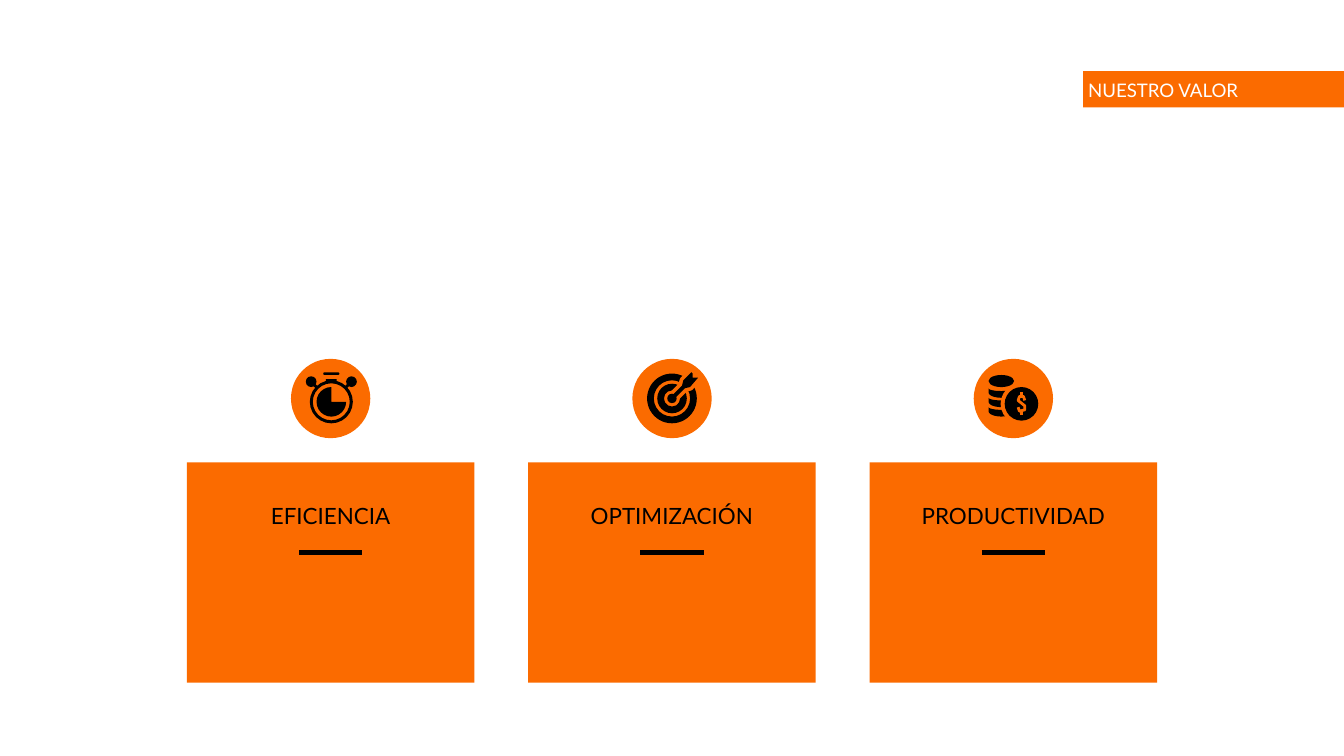
from math import cos, pi, sin

from lxml import etree
from pptx import Presentation
from pptx.dml.color import RGBColor
from pptx.enum.shapes import MSO_CONNECTOR, MSO_SHAPE
from pptx.enum.text import MSO_ANCHOR, PP_ALIGN
from pptx.oxml.ns import qn
from pptx.util import Inches, Pt

ORANGE = RGBColor(0xFB, 0x6B, 0x00)
BLACK = RGBColor(0x00, 0x00, 0x00)
WHITE = RGBColor(0xFF, 0xFF, 0xFF)

RECTANGLE = MSO_SHAPE.RECTANGLE
ROUNDED = MSO_SHAPE.ROUNDED_RECTANGLE
OVAL = MSO_SHAPE.OVAL
DONUT = MSO_SHAPE.DONUT
PIE = MSO_SHAPE.PIE
STRAIGHT = MSO_CONNECTOR.STRAIGHT
BOTTOM = MSO_ANCHOR.BOTTOM
CENTER, RIGHT = PP_ALIGN.CENTER, PP_ALIGN.RIGHT

DISC = 0.59
COLUMN_PITCH = 2.54
DEGREE = 0.6  # one degree as a shape adjustment


def paint(shape, fill=None, line=None, line_width=1.5):
    shape.shadow.inherit = False
    if fill is None:
        shape.fill.background()
    else:
        shape.fill.solid()
        shape.fill.fore_color.rgb = fill
    if line is None:
        shape.line.fill.background()
    else:
        shape.line.color.rgb = line
        shape.line.width = Pt(line_width)


def add_block(slide, kind, box, fill, adjustments=()):
    shape = slide.shapes.add_shape(kind, *map(Inches, box))
    for index, value in enumerate(adjustments):
        shape.adjustments[index] = value
    paint(shape, fill)


def add_outline(slide, left, top, contours, closed=True, **style):
    builder = None
    for contour in contours:
        points = [(Inches(left + x), Inches(top + y)) for x, y in contour]
        if builder is None:
            builder = slide.shapes.build_freeform(*points[0])
        else:
            builder.move_to(*points[0])
        builder.add_line_segments(points[1:], close=closed)
    paint(builder.convert_to_shape(), **style)


def add_rule(slide, start, end, width):
    line = slide.shapes.add_connector(STRAIGHT, *map(Inches, (*start, *end)))
    line.line.color.rgb = BLACK
    line.line.width = Pt(width)
    etree.SubElement(line._element.spPr, qn("a:effectLst"))


def add_text(slide, box, text, alignment, size, color):
    frame = slide.shapes.add_textbox(*map(Inches, box)).text_frame
    margins = dict.fromkeys(
        ("margin_left", "margin_top", "margin_right", "margin_bottom"), Inches(0.1))
    for name, value in {"word_wrap": True, "vertical_anchor": BOTTOM, **margins}.items():
        setattr(frame, name, value)
    paragraph = frame.paragraphs[0]
    paragraph.alignment = alignment
    run = paragraph.add_run()
    run.text = text
    for name, value in {"name": "Lato", "size": Pt(size), "bold": False}.items():
        setattr(run.font, name, value)
    run.font.color.rgb = color


def add_title_banner(slide, left, top, width, height):
    add_block(slide, RECTANGLE, (left, top, width, height), ORANGE)
    add_text(slide, (left - 1.58, top - 0.19, 2.83, 0.5), "NUESTRO VALOR", RIGHT, 10, WHITE)


# Icons: each is placed from the top left corner of its disc
def add_stopwatch(slide, left, top):
    parts = [
        (DONUT, (0.14, 0.16, 0.32, 0.32), [0.07]),                # case
        (PIE, (0.19, 0.21, 0.22, 0.22), [0, 270 * DEGREE]),       # dial
        (ROUNDED, (0.24, 0.1, 0.12, 0.02), [0.5]),                # crown
        (RECTANGLE, (0.26, 0.15, 0.08, 0.02), []),                # neck
        (OVAL, (0.11, 0.13, 0.08, 0.08), []),                     # left button
        (OVAL, (0.41, 0.13, 0.08, 0.08), []),                     # right button
    ]
    for kind, (x, y, width, height), adjustments in parts:
        add_block(slide, kind, (left + x, top + y, width, height), BLACK, adjustments)
    for outer, inner in ((0.16, 0.2), (0.44, 0.4)):
        add_rule(slide, (left + outer, top + 0.18), (left + inner, top + 0.22), 1.5)


def add_target(slide, left, top):
    for size in (0.37, 0.22):
        offset = (DISC - size) / 2
        add_block(slide, DONUT, (left + offset, top + offset, size, size), BLACK, [0.05 / size])
    arrow = [(0.44, 0.1), (0.38, 0.16), (0.37, 0.2), (0.29, 0.28), (0.31, 0.3),
             (0.39, 0.22), (0.43, 0.21), (0.49, 0.14), (0.45, 0.14), (0.45, 0.11)]
    add_outline(slide, left, top, [arrow], fill=ORANGE, line=ORANGE, line_width=4)
    add_outline(slide, left, top, [arrow], fill=BLACK)
    add_block(slide, OVAL, (left + 0.26, top + 0.26, 0.07, 0.07), BLACK)


def add_coins(slide, left, top):
    add_block(slide, OVAL, (left + 0.11, top + 0.12, 0.19, 0.09), BLACK)
    # Edges of the stacked coins
    angles = [pi * step / 12 for step in range(13)]
    for edge in (0.22, 0.29, 0.36):
        upper = [(0.205 - 0.095 * cos(a), edge + 0.02 * sin(a)) for a in angles]
        lower = [(0.205 - 0.095 * cos(a), edge + 0.03 + 0.04 * sin(a)) for a in angles]
        add_outline(slide, left, top, [upper + lower[::-1]], fill=BLACK)
    # Front coin with its clear margin and currency sign
    for x, y, size, color in ((0.2, 0.18, 0.31, ORANGE), (0.23, 0.21, 0.25, BLACK)):
        add_block(slide, OVAL, (left + x, top + y, size, size), color)
    sign = [
        [(0.38, 0.31), (0.37, 0.28), (0.34, 0.28), (0.33, 0.31),
         (0.38, 0.35), (0.38, 0.38), (0.34, 0.39), (0.33, 0.36)],
        [(0.355, 0.25), (0.355, 0.28)],
        [(0.355, 0.39), (0.355, 0.42)],
    ]
    add_outline(slide, left, top, sign, closed=False, line=ORANGE)


def add_value_column(slide, left, top, width, height, label, add_icon):
    # Card, label and rule
    card_top = top + 0.77
    add_block(slide, RECTANGLE, (left, card_top, width, height - 0.77), ORANGE)
    add_text(slide, (left - 0.05, top + 1.1, width + 0.1, 0.27), label, CENTER, 12, BLACK)
    middle = left + width / 2
    add_rule(slide, (middle - 0.235, top + 1.44), (middle + 0.235, top + 1.44), 3)
    # Disc with icon
    disc_left = middle - DISC / 2
    add_block(slide, OVAL, (disc_left, top, DISC, DISC), ORANGE)
    add_icon(slide, disc_left, top)


def main():
    presentation = Presentation()
    presentation.slide_width = Inches(10)
    presentation.slide_height = Inches(10) * 9 // 16
    slide = presentation.slides.add_slide(presentation.slide_layouts[6])

    add_title_banner(slide, 8.06, 0.53, 1.98, 0.27)
    columns = [("EFICIENCIA", add_stopwatch), ("OPTIMIZACIÓN", add_target),
               ("PRODUCTIVIDAD", add_coins)]
    for index, (label, add_icon) in enumerate(columns):
        add_value_column(slide, 1.39 + index * COLUMN_PITCH, 2.67, 2.14, 2.41, label, add_icon)

    presentation.save("out.pptx")


if __name__ == "__main__":
    main()
